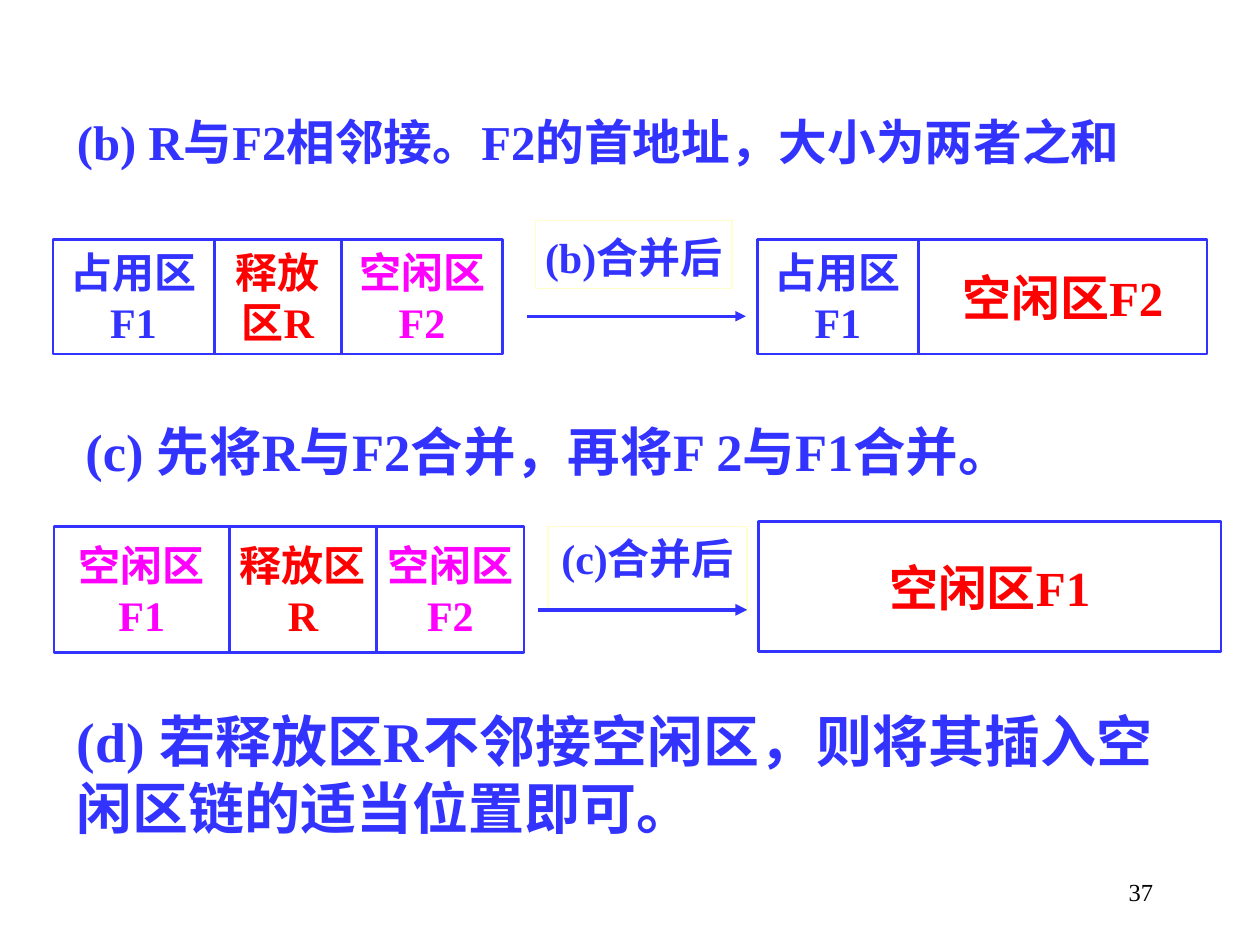
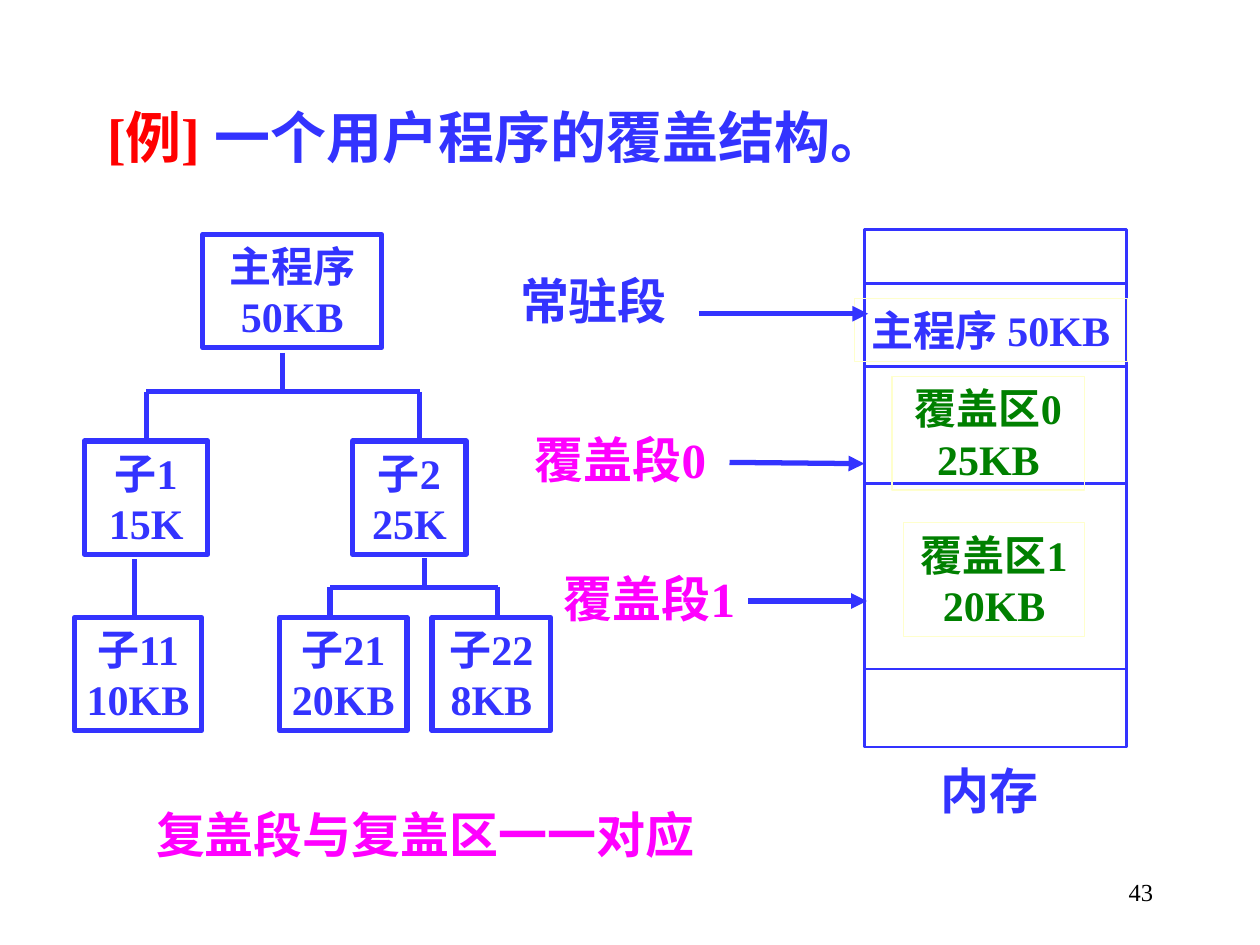
from dataclasses import dataclass

from lxml import etree
from pptx import Presentation
from pptx.dml.color import RGBColor
from pptx.enum import shapes, text
from pptx.oxml import ns
from pptx.util import Inches, Pt


@dataclass(frozen=True)
class Theme:
    font: str = "Times New Roman"
    blue: str = "3333FF"
    red: str = "FF0000"
    magenta: str = "FF00FF"
    green: str = "008000"
    cream: str = "FFFFCC"
    white: str = "FFFFFF"
    black: str = "000000"
    number: float = 14
    block: float = 24
    label: float = 28
    sentence: float = 30
    heading: float = 32
    hairline: float = 0.75
    thin: float = 1.5
    medium: float = 2.25
    thick: float = 3


THEME = Theme()
LEFT, CENTER, RIGHT = text.PP_ALIGN.LEFT, text.PP_ALIGN.CENTER, text.PP_ALIGN.RIGHT
TOP, MIDDLE, BOTTOM = text.MSO_ANCHOR.TOP, text.MSO_ANCHOR.MIDDLE, text.MSO_ANCHOR.BOTTOM

# Rows of adjoining blocks: left, top, height, then (text, width, colour, size)
BLOCK_ROWS = [
    (0.42, 1.9, 0.91, [
        ("占用区\nF1", 1.28, THEME.blue, THEME.block),
        ("释放\n区R", 1.01, THEME.red, THEME.block),
        ("空闲区\nF2", 1.28, THEME.magenta, THEME.block)]),
    (6.01, 1.9, 0.91, [
        ("占用区\nF1", 1.28, THEME.blue, THEME.block),
        ("空闲区F2", 2.29, THEME.red, THEME.label)]),
    (0.43, 4.18, 1, [
        ("空闲区\nF1", 1.39, THEME.magenta, THEME.block),
        ("释放区\nR", 1.17, THEME.red, THEME.block),
        ("空闲区\nF2", 1.17, THEME.magenta, THEME.block)]),
    (6.02, 4.14, 1.03, [("空闲区F1", 3.67, THEME.red, THEME.label)]),
]
# Merge steps: label, its box and anchor, arrow start, end, height and weight
MERGE_STEPS = [
    ("(b)合并后", (4.25, 1.75, 1.56, 0.54), BOTTOM, 4.18, 5.92, 2.51, THEME.thin),
    ("(c)合并后", (4.35, 4.18, 1.58, 0.67), TOP, 4.27, 5.93, 4.84, THEME.medium),
]
SENTENCES = [
    ("(c) 先将R与F2合并，再将F 2与F1合并。", (0.58, 3.28, 8.83, 0.71), THEME.sentence),
    ("(d) 若释放区R不邻接空闲区，则将其插入空闲区链的适当位置即可。",
     (0.51, 5.56, 9, 1.17), THEME.heading),
]

# Program tree: text, left, top, width
NODE_HEIGHT = 0.9
PROGRAM_NODES = [
    ("主程序\n50KB", 1.61, 1.86, 1.42),
    ("子1\n15K", 0.67, 3.5, 0.98),
    ("子2\n25K", 2.8, 3.5, 0.9),
    ("子11\n10KB", 0.59, 4.9, 1.01),
    ("子21\n20KB", 2.22, 4.9, 1.01),
    ("子22\n8KB", 3.43, 4.9, 0.94),
]
# Forks: stem x, stem top, bar height, child positions, child top
FORKS = [
    (2.24, 2.8, 3.11, (1.16, 3.33), 3.5),
    (3.37, 4.43, 4.66, (2.62, 3.95), 4.9),
]
ONLY_CHILD_LINK = (1.07, 4.44, 1.07, 4.9)

MEMORY_BOX = (6.86, 1.82, 2.08, 4.11)
MEMORY_DIVIDERS = [2.25, 2.91, 3.84, 5.31]
MEMORY_AREAS = [
    ("主程序 50KB", (6.78, 2.37, 2.17, 0.5), THEME.blue),
    ("覆盖区0\n25KB", (7.08, 2.99, 1.53, 0.9), THEME.green),
    ("覆盖区1\n20KB", (7.17, 4.15, 1.44, 0.9), THEME.green),
]
SEGMENT_LABELS = [
    ("常驻段", (3.98, 2.1, 1.46, 0.57), THEME.blue),
    ("覆盖段0", (4.1, 3.36, 1.65, 0.57), THEME.magenta),
    ("覆盖段1", (4.33, 4.46, 1.65, 0.57), THEME.magenta),
    ("内存", (7.2, 5.99, 1.31, 0.57), THEME.blue),
]
SEGMENT_ARROWS = [
    (5.55, 2.49, 6.89, 2.49),
    (5.79, 3.67, 6.86, 3.68),
    (5.94, 4.77, 6.88, 4.77),
]


def inches(values):
    return [Inches(value) for value in values]


def style_run(run, color, size, bold=True):
    run.font.name = THEME.font
    run.font.size = Pt(size)
    run.font.bold = bold
    run.font.color.rgb = RGBColor.from_string(color)


def write(shape, words, color, size, align=CENTER, anchor=TOP, wrap=False, bold=True):
    frame = shape.text_frame
    frame.text = words
    frame.word_wrap = wrap
    frame.auto_size = text.MSO_AUTO_SIZE.NONE
    frame.vertical_anchor = anchor
    for paragraph in frame.paragraphs:
        paragraph.alignment = align
        for run in paragraph.runs:
            style_run(run, color, size, bold)


def add_text(slide, words, box, color, size, **layout):
    shape = slide.shapes.add_textbox(*inches(box))
    write(shape, words, color, size, **layout)
    return shape


def add_box(slide, box, line=THEME.blue, weight=THEME.thin, fill=None):
    shape = slide.shapes.add_shape(shapes.MSO_SHAPE.RECTANGLE, *inches(box))
    shape.shadow.inherit = False
    if fill:
        shape.fill.solid()
        shape.fill.fore_color.rgb = RGBColor.from_string(fill)
    else:
        shape.fill.background()
    shape.line.color.rgb = RGBColor.from_string(line)
    shape.line.width = Pt(weight)
    return shape


def add_line(slide, ends, weight=THEME.thick, arrow=False):
    connector = slide.shapes.add_connector(shapes.MSO_CONNECTOR.STRAIGHT, *inches(ends))
    connector.line.color.rgb = RGBColor.from_string(THEME.blue)
    connector.line.width = Pt(weight)
    if arrow:
        line = connector.line._get_or_add_ln()
        etree.SubElement(line, ns.qn("a:tailEnd"), type="triangle")
    etree.SubElement(connector._element.spPr, ns.qn("a:effectLst"))


def add_slide(presentation, heading, box, size, number):
    """Add a slide with its heading and page number."""
    slide = presentation.slides.add_slide(presentation.slide_layouts[5])
    title = slide.shapes.title
    title.left, title.top, title.width, title.height = inches(box)
    write(title, heading, THEME.blue, size, align=LEFT, wrap=True)
    add_text(slide, str(number), (7.17, 6.83, 2.08, 0.5), THEME.black, THEME.number,
             align=RIGHT, anchor=MIDDLE, wrap=True, bold=False)
    return slide


def build_merge_slide(presentation):
    slide = add_slide(presentation, "(b) R与F2相邻接。F2的首地址，大小为两者之和",
                      (0.51, 0.84, 9.21, 0.75), 27.8, 37)
    for left, top, height, blocks in BLOCK_ROWS:
        for words, width, color, size in blocks:
            block = add_box(slide, (left, top, width, height))
            write(block, words, color, size, anchor=MIDDLE)
            left += width
    for words, box, anchor, start, end, y, weight in MERGE_STEPS:
        label = add_box(slide, box, THEME.cream, THEME.hairline)
        write(label, words, THEME.blue, THEME.block, anchor=anchor)
        add_line(slide, (start, y, end, y), weight, arrow=True)
    for words, box, size in SENTENCES:
        add_text(slide, words, box, THEME.blue, size, align=LEFT, wrap=True)


def add_program_tree(slide):
    for words, left, top, width in PROGRAM_NODES:
        node = add_box(slide, (left, top, width, NODE_HEIGHT), weight=THEME.thick)
        write(node, words, THEME.blue, THEME.block)
    for stem, top, bar, children, bottom in FORKS:
        add_line(slide, (stem, top, stem, bar))
        add_line(slide, (children[0], bar, children[-1], bar))
        for child in children:
            add_line(slide, (child, bar, child, bottom))
    add_line(slide, ONLY_CHILD_LINK)


def add_memory(slide):
    add_box(slide, MEMORY_BOX, fill=THEME.white)
    left, _, width, _ = MEMORY_BOX
    for y in MEMORY_DIVIDERS:
        add_line(slide, (left, y, left + width, y), THEME.thin)
    for words, box, color in MEMORY_AREAS:
        area = add_box(slide, box, THEME.cream, THEME.hairline)
        write(area, words, color, THEME.block)


def build_overlay_slide(presentation):
    slide = add_slide(presentation, "[例] ", (0.75, 0.76, 8.83, 0.64), THEME.heading, 43)
    paragraph = slide.shapes.title.text_frame.paragraphs[0]
    style_run(paragraph.runs[0], THEME.red, THEME.heading)
    topic = paragraph.add_run()
    topic.text = "一个用户程序的覆盖结构。"
    style_run(topic, THEME.blue, THEME.heading)

    add_program_tree(slide)
    add_memory(slide)
    for words, box, color in SEGMENT_LABELS:
        add_text(slide, words, box, color, THEME.label)
    for ends in SEGMENT_ARROWS:
        add_line(slide, ends, arrow=True)
    summary = add_text(slide, "复盖段与复盖区一一对应", (1.14, 6.27, 5.36, 0.64),
                       THEME.magenta, THEME.label, align=LEFT, wrap=True)
    summary.text_frame.paragraphs[0].line_spacing = 1.15


def main():
    presentation = Presentation()
    presentation.slide_width, presentation.slide_height = Inches(10), Inches(7.5)
    build_merge_slide(presentation)
    build_overlay_slide(presentation)
    presentation.save("out.pptx")


if __name__ == "__main__":
    main()
